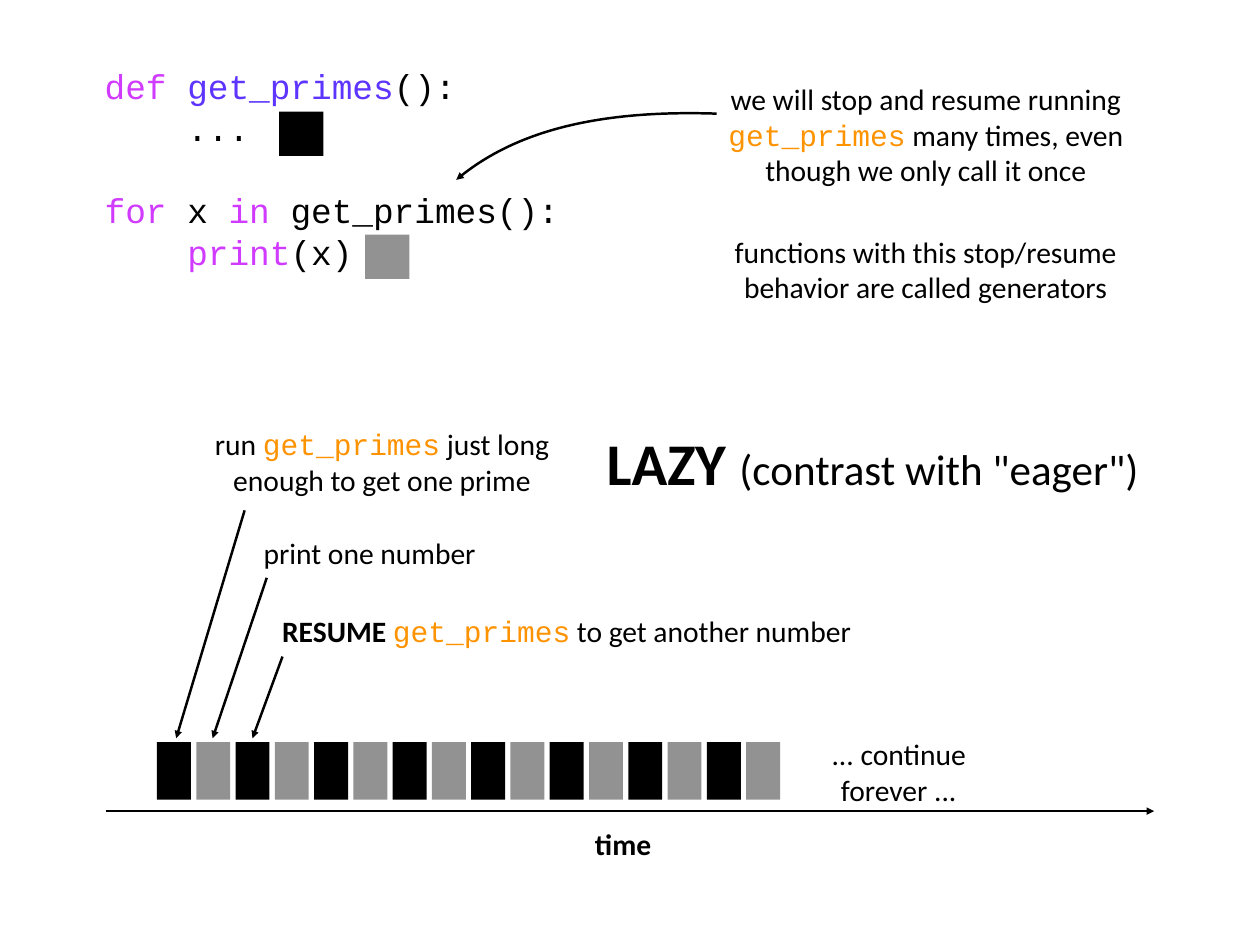
from dataclasses import dataclass

from lxml.etree import SubElement
from pptx import Presentation
from pptx.dml.color import RGBColor
from pptx.enum.shapes import MSO_CONNECTOR, MSO_SHAPE
from pptx.enum.text import MSO_ANCHOR, MSO_AUTO_SIZE, PP_ALIGN
from pptx.oxml.ns import qn
from pptx.shapes.base import BaseShape
from pptx.slide import Slide
from pptx.util import Inches, Pt

# The slide is a grid of 128 columns by 96 rows.
SLIDE_WIDTH, SLIDE_HEIGHT = Inches(14.22), Inches(10.67)
COLUMN, ROW = SLIDE_WIDTH / 128, SLIDE_HEIGHT / 96

BLACK = RGBColor(0x00, 0x00, 0x00)
GRAY = RGBColor(0x92, 0x92, 0x92)
MAGENTA = RGBColor(0xD0, 0x3B, 0xFF)
VIOLET = RGBColor(0x5E, 0x34, 0xFF)
ORANGE = RGBColor(0xFE, 0x93, 0x01)
BODY_FONT, CODE_FONT = "Calibri", "Courier New"
INSET = Inches(0.06)
LINE_WIDTH = Pt(2)

Point = tuple[float, float]


@dataclass(frozen=True)
class Box:
    """A rectangle in grid columns and rows."""
    left: float
    top: float
    width: float
    height: float

    def lengths(self) -> tuple[int, int, int, int]:
        return (round(self.left * COLUMN), round(self.top * ROW),
                round(self.width * COLUMN), round(self.height * ROW))


@dataclass(frozen=True)
class Words:
    text: str
    size: float = 24
    font: str = BODY_FONT
    color: RGBColor = BLACK
    bold: bool = False


@dataclass(frozen=True)
class Label:
    box: Box
    lines: list[list[Words]]
    align: PP_ALIGN = PP_ALIGN.CENTER
    anchor: MSO_ANCHOR = MSO_ANCHOR.MIDDLE
    gap_before: tuple[int, float] = (0, 0)  # line index, points


@dataclass(frozen=True)
class Arrow:
    begin: Point
    end: Point


def code(text: str, color: RGBColor = BLACK) -> Words:
    return Words(text, 28, CODE_FONT, color)


GET_PRIMES = Words("get_primes", font=CODE_FONT, color=ORANGE)

LABELS = [
    Label(Box(10.1, 6.1, 49.6, 21.6), [
        [code("def ", MAGENTA), code("get_primes", VIOLET), code("():")],
        [code("    ...")],
        [code("for", MAGENTA), code(" x "), code("in", MAGENTA), code(" get_primes():")],
        [code("    "), code("print", MAGENTA), code("(x)")],
    ], PP_ALIGN.LEFT, MSO_ANCHOR.TOP, gap_before=(2, 33.5)),
    Label(Box(73.3, 7.85, 41.5, 11.6), [
        [Words("we will stop and resume running")],
        [GET_PRIMES, Words(" many times, even")],
        [Words("though we only call it once")],
    ]),
    Label(Box(73.9, 23.35, 40.25, 8), [
        [Words("functions with this stop/resume")],
        [Words("behavior are called generators")],
    ]),
    Label(Box(20.75, 42.85, 36.1, 8.1), [
        [Words("run "), GET_PRIMES, Words(" just long")],
        [Words("enough to get one prime")],
    ]),
    Label(Box(61.1, 42.95, 61, 7.9), [
        [Words("LAZY ", 48, bold=True), Words('(contrast with "eager")', 35)],
    ], PP_ALIGN.LEFT),
    Label(Box(26.2, 53.9, 22.7, 4.5), [[Words("print one number")]]),
    Label(Box(26.5, 61.75, 62.1, 4.6), [
        [Words("RESUME ", bold=True), GET_PRIMES, Words(" to get another number")],
    ]),
    Label(Box(81.3, 74.35, 20, 8.1), [[Words("... continue")], [Words("forever ...")]]),
    Label(Box(59.2, 83.5, 8.2, 4.5), [[Words("time", bold=True)]]),
]

TIME_AXIS = Arrow((10.75, 82.4), (117.25, 82.4))
STEP_ARROWS = [
    Arrow((24.85, 51.85), (17.9, 75)),
    Arrow((27.1, 58.7), (21.6, 75)),
    Arrow((28.7, 66.7), (25.65, 75)),
]
CALL_CURVE = [(46.35, 18.27), (52.1, 13.4), (60.9, 11.15), (72.8, 11.55)]

FIRST_STEP = Box(15.95, 75.4, 3.45, 5.85)
STEP_PITCH, STEP_COUNT = 3.99, 16
GENERATOR_KEY = Box(28.35, 11.35, 4.5, 4.5)
LOOP_KEY = Box(37.1, 23.85, 4.5, 4.5)


def add_block(slide: Slide, box: Box, color: RGBColor) -> None:
    shape = slide.shapes.add_shape(MSO_SHAPE.RECTANGLE, *box.lengths())
    shape.shadow.inherit = False
    shape.fill.solid()
    shape.fill.fore_color.rgb = color
    shape.line.fill.background()


def add_label(slide: Slide, label: Label) -> None:
    frame = slide.shapes.add_textbox(*label.box.lengths()).text_frame
    frame.word_wrap = False
    frame.auto_size = MSO_AUTO_SIZE.SHAPE_TO_FIT_TEXT
    frame.vertical_anchor = label.anchor
    frame.margin_left = frame.margin_right = INSET
    frame.margin_top = frame.margin_bottom = INSET
    for index, line in enumerate(label.lines):
        paragraph = frame.paragraphs[0] if index == 0 else frame.add_paragraph()
        paragraph.alignment = label.align
        if index and index == label.gap_before[0]:
            paragraph.space_before = Pt(label.gap_before[1])
        for words in line:
            run = paragraph.add_run()
            run.text = words.text
            run.font.size = Pt(words.size)
            run.font.name = words.font
            run.font.bold = words.bold
            run.font.color.rgb = words.color


def style_line(shape: BaseShape, arrow_end: str) -> None:
    """Draw a black line with a triangle at headEnd (start) or tailEnd (finish)."""
    shape.line.color.rgb = BLACK
    shape.line.width = LINE_WIDTH
    properties = shape.element.spPr
    SubElement(properties.find(qn("a:ln")), qn(f"a:{arrow_end}"), type="triangle")
    if properties.find(qn("a:effectLst")) is None:
        SubElement(properties, qn("a:effectLst"))


def add_arrow(slide: Slide, arrow: Arrow) -> None:
    (x1, y1), (x2, y2) = arrow.begin, arrow.end
    connector = slide.shapes.add_connector(
        MSO_CONNECTOR.STRAIGHT, round(x1 * COLUMN), round(y1 * ROW),
        round(x2 * COLUMN), round(y2 * ROW))
    style_line(connector, "tailEnd")


def add_curve(slide: Slide, points: list[Point]) -> None:
    """Draw one cubic curve: start, two control points, finish; arrow at the start."""
    start, *others = [(round(x * COLUMN), round(y * ROW)) for x, y in points]
    builder = slide.shapes.build_freeform(*start)
    builder.add_line_segments(others, close=False)
    shape = builder.convert_to_shape()
    shape.fill.background()
    outline = next(shape.element.iter(qn("a:path")))
    segments = outline.findall(qn("a:lnTo"))
    cubic = SubElement(outline, qn("a:cubicBezTo"))
    for segment in segments:
        cubic.append(segment[0])
        outline.remove(segment)
    style_line(shape, "headEnd")


def main() -> None:
    presentation = Presentation()
    presentation.slide_width, presentation.slide_height = SLIDE_WIDTH, SLIDE_HEIGHT
    slide = presentation.slides.add_slide(presentation.slide_layouts[6])
    for label in LABELS:
        add_label(slide, label)
    add_block(slide, GENERATOR_KEY, BLACK)
    add_block(slide, LOOP_KEY, GRAY)
    for index in range(STEP_COUNT):
        left = FIRST_STEP.left + index * STEP_PITCH
        step = Box(left, FIRST_STEP.top, FIRST_STEP.width, FIRST_STEP.height)
        add_block(slide, step, GRAY if index % 2 else BLACK)
    for arrow in [TIME_AXIS, *STEP_ARROWS]:
        add_arrow(slide, arrow)
    add_curve(slide, CALL_CURVE)
    presentation.save("out.pptx")


if __name__ == "__main__":
    main()
